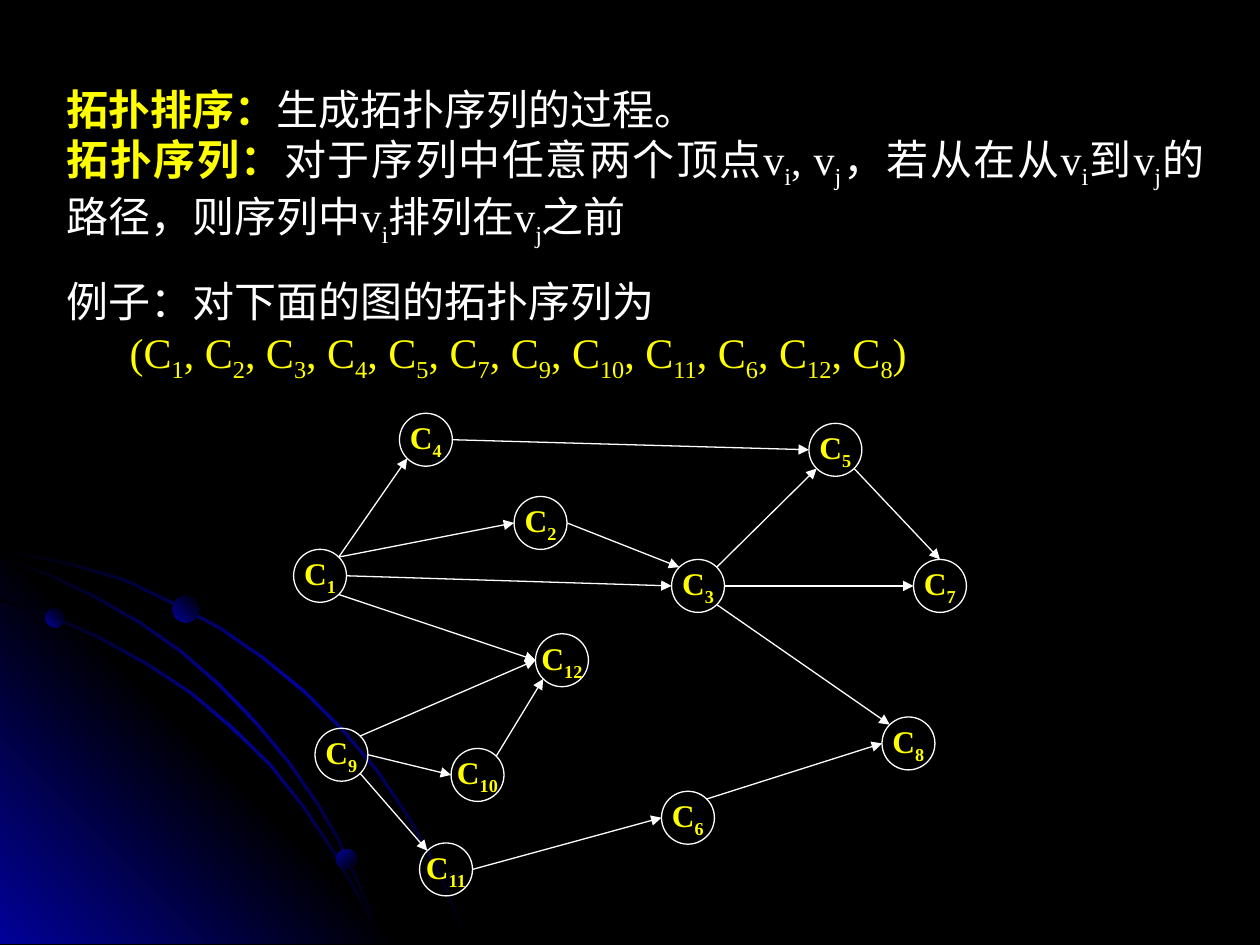
from math import hypot
from typing import NamedTuple

from pptx import Presentation
from pptx.dml.color import RGBColor
from pptx.enum.shapes import MSO_CONNECTOR as Link, MSO_SHAPE as Shape
from pptx.enum.text import MSO_ANCHOR as Anchor, MSO_AUTO_SIZE as Fit, PP_ALIGN as Align
from pptx.oxml import parse_xml
from pptx.oxml.ns import nsdecls, qn
from pptx.util import Inches, Pt

BLACK = RGBColor(0x00, 0x00, 0x00)
WHITE = RGBColor(0xFF, 0xFF, 0xFF)
YELLOW = RGBColor(0xFF, 0xFF, 0x00)
BLUE = RGBColor(0x01, 0x01, 0x99)
FONT = "Times New Roman"
SIZE = 0.42  # node diameter
THICK = 0.02  # ribbon width
FLOOR = 7.49  # lower edge of the decoration

Points = list[tuple[float, float]]


class Node(NamedTuple):
    num: int
    left: float
    top: float


class Edge(NamedTuple):
    start: int
    leave: str
    end: int
    enter: str


class Dot(NamedTuple):
    left: float
    top: float
    size: float
    angle: int


NODES = [
    Node(4, 3.17, 3.28), Node(5, 6.42, 3.36), Node(1, 2.33, 4.36),
    Node(2, 4.08, 3.94), Node(3, 5.33, 4.44), Node(7, 7.25, 4.44),
    Node(12, 4.25, 5.03), Node(9, 2.5, 5.78), Node(10, 3.58, 5.94),
    Node(11, 3.33, 6.69), Node(6, 5.25, 6.28), Node(8, 7, 5.69),
]
EDGES = [
    Edge(1, "NE", 4, "SW"), Edge(1, "NE", 2, "W"), Edge(1, "E", 3, "W"),
    Edge(1, "SE", 12, "W"), Edge(4, "E", 5, "W"), Edge(3, "E", 7, "W"),
    Edge(3, "NE", 5, "SW"), Edge(5, "SE", 7, "N"), Edge(3, "SE", 8, "NW"),
    Edge(9, "NE", 12, "W"), Edge(9, "E", 10, "W"), Edge(10, "NE", 12, "SW"),
    Edge(9, "SE", 11, "NW"), Edge(2, "E", 3, "NW"), Edge(11, "E", 6, "W"),
    Edge(6, "NE", 8, "W"),
]
DOTS = [Dot(0.36, 4.83, 0.15, 315), Dot(2.67, 6.74, 0.16, 45), Dot(1.37, 4.73, 0.21, 315)]

# Upper edges of the three arcs
OUTER = [(0, 4.35), (0.28, 4.41), (0.57, 4.47), (0.98, 4.59), (1.36, 4.77),
         (1.74, 4.97), (2.09, 5.21), (2.42, 5.48), (2.72, 5.78), (3, 6.11),
         (3.25, 6.48), (3.39, 6.73), (3.52, 6.98), (3.62, 7.23), (3.72, 7.49)]
INNER = [(0, 4.75), (0.41, 4.88), (0.79, 5.05), (1.17, 5.26), (1.52, 5.49),
         (1.84, 5.76), (2.15, 6.06), (2.42, 6.4), (2.66, 6.76), (2.86, 7.12),
         (2.96, 7.3), (3.03, 7.49)]
MIDDLE = [(0, 4.42), (0.39, 4.55), (0.76, 4.73), (1.11, 4.93), (1.44, 5.16),
          (1.75, 5.43), (2.04, 5.73), (2.29, 6.03), (2.54, 6.39), (2.69, 6.65),
          (2.82, 6.93), (2.94, 7.2), (3.03, 7.49)]

ORDER = [1, 2, 3, 4, 5, 7, 9, 10, 11, 6, 12, 8]

prs = Presentation()
prs.slide_width, prs.slide_height = Inches(10), Inches(7.5)
slide = prs.slides.add_slide(prs.slide_layouts[6])
slide.background.fill.solid()
slide.background.fill.fore_color.rgb = BLACK
shapes = slide.shapes


def shade(shape, colors: list[RGBColor], angle: int) -> None:
    """Fill with evenly spaced gradient stops; the angle runs clockwise."""
    shape.shadow.inherit = False
    shape.line.fill.background()
    shape.fill.gradient()
    shape.fill.gradient_angle = 360 - angle
    stops = next(shape._element.iter(qn("a:gsLst")))
    for stop in list(stops):
        stops.remove(stop)
    for i, color in enumerate(colors):
        place = 100000 * i // (len(colors) - 1)
        stops.append(parse_xml(
            f'<a:gs {nsdecls("a")} pos="{place}"><a:srgbClr val="{color}"/></a:gs>'))


def outline(points: Points):
    """Draw a closed polygon."""
    first, *rest = [(Inches(x), Inches(y)) for x, y in points]
    pen = shapes.build_freeform(*first)
    pen.add_line_segments(rest, close=True)
    return pen.convert_to_shape()


def ribbon(edge: Points) -> None:
    """Draw a thin band below an arc."""
    under = []
    for i, (x, y) in enumerate(edge):
        x0, y0 = edge[max(i - 1, 0)]
        x1, y1 = edge[min(i + 1, len(edge) - 1)]
        dx, dy = x1 - x0, y1 - y0
        span = hypot(dx, dy) / THICK
        under.append((max(x - dy / span, 0), min(y + dx / span, FLOOR)))
    shade(outline(edge + under[::-1]), [BLACK, BLUE, BLACK], 45)


def write(para, text: str, color: RGBColor, size: int = 24, bold: bool = False) -> None:
    """Add runs; the parts between tildes are subscripts."""
    for i, part in enumerate(text.split("~")):
        if not part:
            continue
        run = para.add_run()
        run.text = part
        font = run.font
        font.name, font.size, font.bold = FONT, Pt(size), bold
        font.color.rgb = color
        if i % 2:
            run._r.get_or_add_rPr().set("baseline", "-25000")


def add_box(left: float, top: float, width: float, height: float):
    frame = shapes.add_textbox(*map(Inches, (left, top, width, height))).text_frame
    frame.word_wrap = True
    frame.auto_size = Fit.SHAPE_TO_FIT_TEXT
    return frame


def add_node(node: Node) -> None:
    oval = shapes.add_shape(
        Shape.OVAL, *map(Inches, (node.left, node.top, SIZE, SIZE)))
    oval.shadow.inherit = False
    oval.fill.background()
    oval.line.color.rgb = WHITE
    oval.line.width = Pt(0.75)
    frame = oval.text_frame
    frame.word_wrap = False
    frame.vertical_anchor = Anchor.MIDDLE
    para = frame.paragraphs[0]
    para.alignment = Align.CENTER
    write(para, f"C~{node.num}~", YELLOW, 18, True)


def site(node: Node, side: str) -> tuple[int, int]:
    """Find the point on a node's rim in a compass direction."""
    dx = ("E" in side) - ("W" in side)
    dy = ("S" in side) - ("N" in side)
    reach = SIZE / 2 / hypot(dx, dy)
    return (Inches(node.left + SIZE / 2 + dx * reach),
            Inches(node.top + SIZE / 2 + dy * reach))


def add_edge(edge: Edge, nodes: dict[int, Node]) -> None:
    line = shapes.add_connector(
        Link.STRAIGHT, *site(nodes[edge.start], edge.leave),
        *site(nodes[edge.end], edge.enter))
    line.line.color.rgb = WHITE
    line.line.width = Pt(0.75)
    line.line._get_or_add_ln().append(
        parse_xml(f'<a:tailEnd {nsdecls("a")} type="triangle"/>'))
    line._element.spPr.append(parse_xml(f'<a:effectLst {nsdecls("a")}/>'))


# Corner decoration
ribbon(OUTER)
shade(outline([(3.22, FLOOR), (0, FLOOR), (0, 4.27)]), [BLUE, BLACK, BLUE], 315)
ribbon(INNER)
ribbon(MIDDLE)
for dot in DOTS:
    ball = shapes.add_shape(
        Shape.OVAL, *map(Inches, (dot.left, dot.top, dot.size, dot.size)))
    shade(ball, [BLUE, BLACK], dot.angle)

# Definitions
frame = add_box(0.43, 0.61, 9.23, 1.31)
TERMS = [
    ("拓扑排序：", "生成拓扑序列的过程。"),
    ("拓扑序列：", "对于序列中任意两个顶点v~i~, v~j~，若从在从v~i~到v~j~"
                 "的路径，则序列中v~i~排列在v~j~之前"),
]
for i, (term, meaning) in enumerate(TERMS):
    para = frame.add_paragraph() if i else frame.paragraphs[0]
    para.alignment = Align.JUSTIFY
    write(para, term, YELLOW, bold=True)
    write(para, meaning, WHITE)

# Graph
by_num = {node.num: node for node in NODES}
for node in NODES:
    add_node(node)
for edge in EDGES:
    add_edge(edge, by_num)

# Example order
frame = add_box(0.43, 2.14, 8.35, 0.91)
write(frame.paragraphs[0], "例子：对下面的图的拓扑序列为", WHITE)
write(frame.add_paragraph(), "\t(" + ", ".join(f"C~{n}~" for n in ORDER) + ")", YELLOW)

prs.save("out.pptx")
